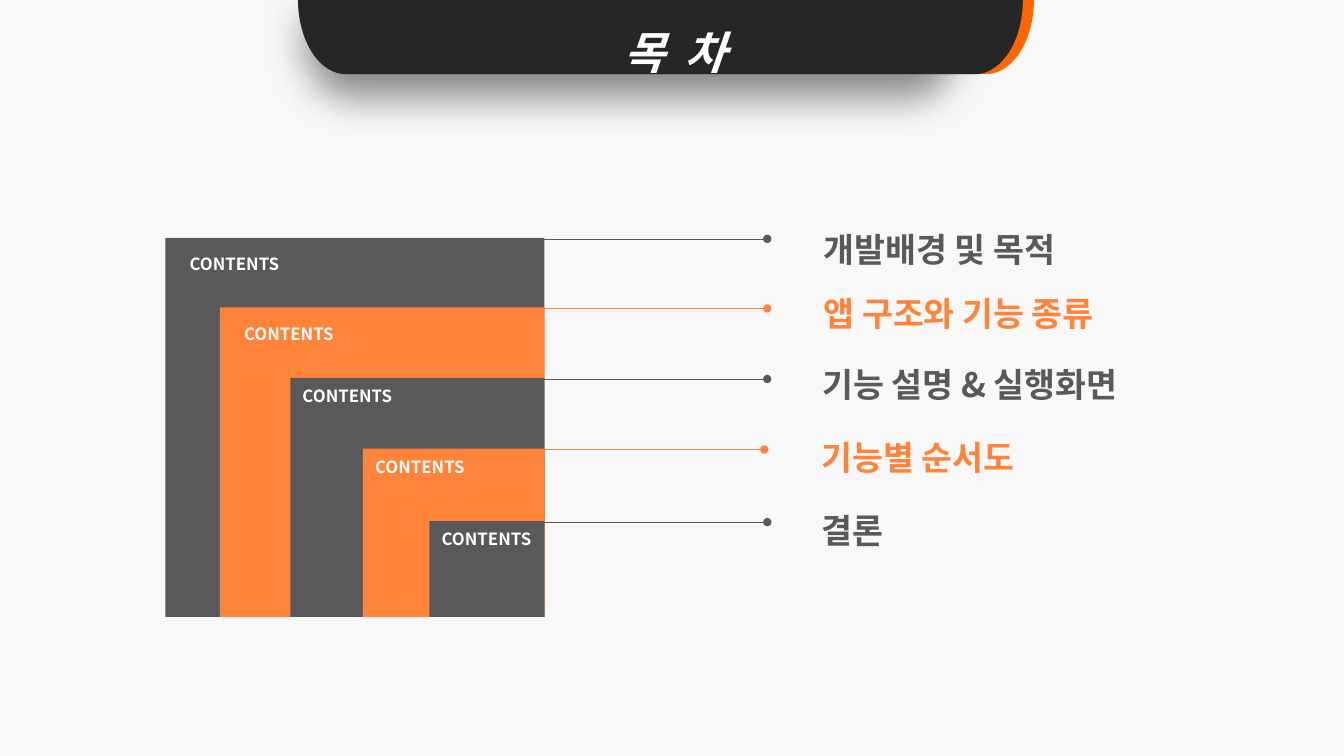
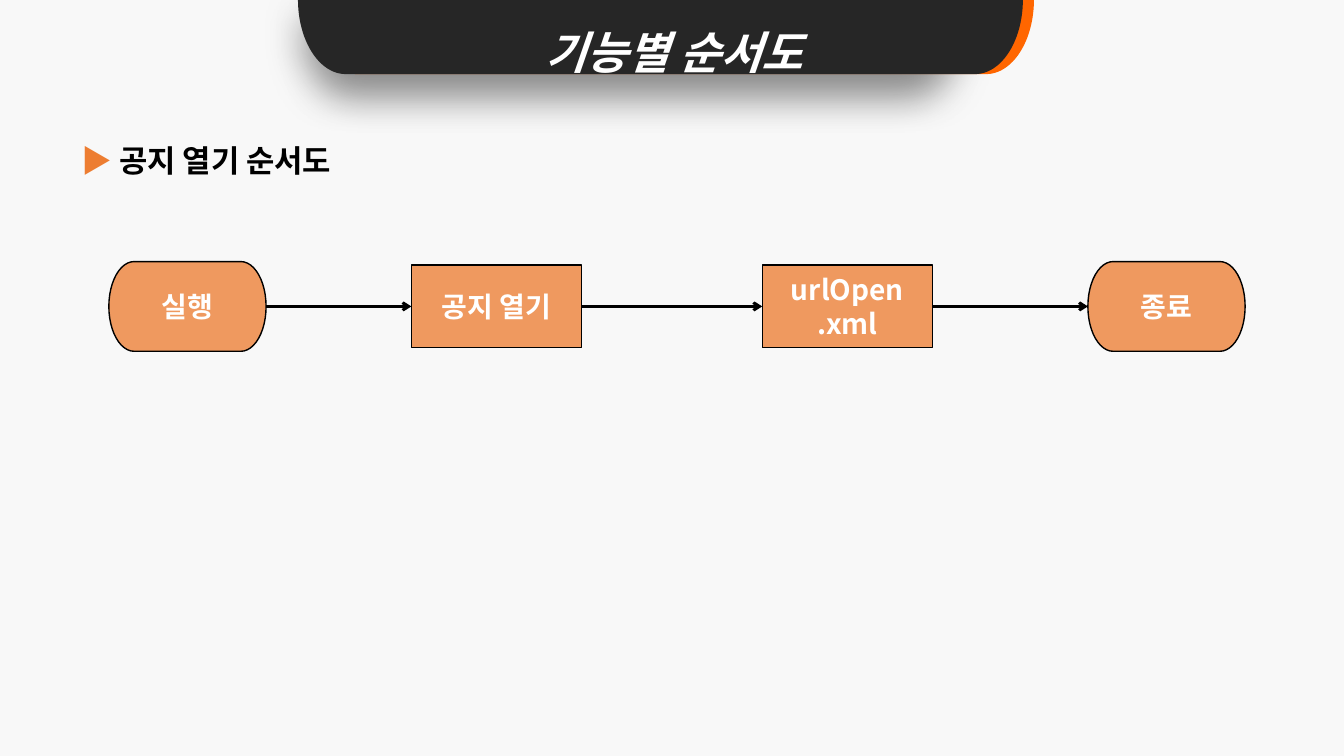
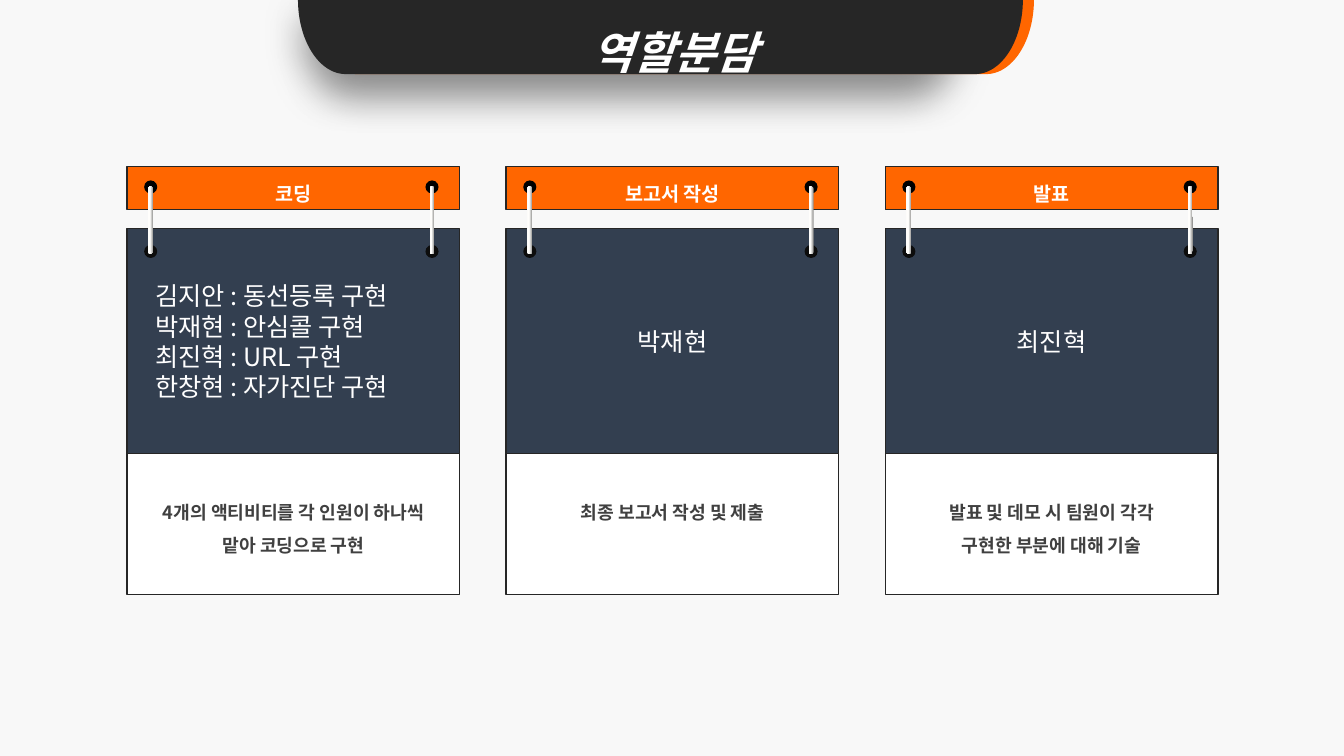
"""Build a contents page, a flowchart and a role sheet under one shared banner."""
from dataclasses import dataclass

from lxml import etree
from pptx import Presentation
from pptx import util as u
from pptx.dml.color import RGBColor
from pptx.enum import shapes, text
from pptx.oxml import ns

Shape = shapes.MSO_SHAPE
Align = text.PP_ALIGN
Anchor = text.MSO_ANCHOR


@dataclass(frozen=True)
class Theme:
    font: str = "Noto Sans CJK KR"
    paper: str = "F8F8F8"
    white: str = "FFFFFF"
    black: str = "000000"
    ink: str = "262626"
    vivid: str = "FF6600"
    gray: str = "595959"
    soft: str = "FF843A"
    flow: str = "ED7D31"
    navy: str = "333F50"
    note: str = "404040"
    hole: str = "0D0D0D"
    ring_dark: str = "979795"
    ring_light: str = "FFFEFC"
    title_size: int = 32
    topic_size: int = 24
    heading_size: int = 22
    step_size: int = 20
    member_size: int = 18
    header_size: int = 14
    note_size: int = 13
    label_size: int = 12


THEME = Theme()


@dataclass(frozen=True)
class Box:
    left: float
    top: float
    width: float
    height: float

    def lengths(self) -> list:
        return [u.Inches(v) for v in (self.left, self.top, self.width, self.height)]


@dataclass(frozen=True)
class TextStyle:
    size: int
    color: str
    bold: bool = True
    italic: bool = False
    align: Align = Align.CENTER
    spacing: float = 1.0
    anchor: Anchor = Anchor.TOP
    insets: tuple = (0.1, 0.05, 0.1, 0.05)


@dataclass(frozen=True)
class Topic:
    name: str
    color: str
    left: float
    top: float
    insets: tuple
    line_end: float
    text_left: float
    text_top: float


@dataclass(frozen=True)
class Step:
    label: str
    kind: Shape
    left: float
    width: float
    height: float


@dataclass(frozen=True)
class Role:
    header: str
    members: str
    note: str
    align: Align = Align.CENTER
    indent: float = 0.1


WIDE_INSETS = (0.24, 0.16, 0.1, 0.05)
TIGHT_INSETS = (0.12, 0.08, 0.1, 0.05)
STAIR_RIGHT, STAIR_BOTTOM = 5.4, 6.12
FLOW_CENTER = 3.04
CARD_LEFT, CARD_PITCH, CARD_WIDTH = 1.26, 3.76, 3.3

TOPICS = (
    Topic("개발배경 및 목적", THEME.gray, 1.64, 2.36, WIDE_INSETS, 7.61, 8.07, 2.02),
    Topic("앱 구조와 기능 종류", THEME.soft, 2.18, 3.05, WIDE_INSETS, 7.61, 8.07, 2.66),
    Topic("기능 설명 & 실행화면", THEME.gray, 2.88, 3.75, TIGHT_INSETS, 7.61, 8.06, 3.36),
    Topic("기능별 순서도", THEME.soft, 3.6, 4.45, TIGHT_INSETS, 7.58, 8.05, 4.09),
    Topic("결론", THEME.gray, 4.26, 5.17, TIGHT_INSETS, 7.61, 8.05, 4.81),
)
STEPS = (
    Step("실행", Shape.FLOWCHART_TERMINATOR, 1.08, 1.56, 0.89),
    Step("공지 열기", Shape.FLOWCHART_PROCESS, 4.08, 1.69, 0.82),
    Step("urlOpen\n.xml", Shape.FLOWCHART_PROCESS, 7.56, 1.69, 0.82),
    Step("종료", Shape.FLOWCHART_TERMINATOR, 10.79, 1.56, 0.89),
)
ROLES = (
    Role("코딩", "김지안 : 동선등록 구현\n박재현 : 안심콜 구현\n최진혁 : URL 구현\n한창현 : 자가진단 구현",
         "4개의 액티비티를 각 인원이 하나씩\n맡아 코딩으로 구현", Align.LEFT, 0.28),
    Role("보고서 작성", "박재현", "최종 보고서 작성 및 제출"),
    Role("발표", "최진혁", "발표 및 데모 시 팀원이 각각\n구현한 부분에 대해 기술"),
)


def rgb(color: str) -> RGBColor:
    return RGBColor.from_string(color)


def add_xml(parent, tag: str, **attributes: str):
    return etree.SubElement(parent, ns.qn(tag), attributes)


def style_run(run, style: TextStyle, color: str) -> None:
    font = run.font
    font.size, font.bold, font.italic = u.Pt(style.size), style.bold, style.italic
    font.name = THEME.font
    font.color.rgb = rgb(color)
    add_xml(run.font._element, "a:ea", typeface=THEME.font)


def write(shape, words: str, style: TextStyle, wrap: bool = True) -> None:
    frame = shape.text_frame
    frame.text = words
    frame.word_wrap = wrap
    frame.vertical_anchor = style.anchor
    (frame.margin_left, frame.margin_top,
     frame.margin_right, frame.margin_bottom) = map(u.Inches, style.insets)
    for paragraph in frame.paragraphs:
        paragraph.alignment = style.align
        paragraph.line_spacing = style.spacing
        for run in paragraph.runs:
            style_run(run, style, style.color)


def add_text(slide, box: Box, words: str, style: TextStyle, wrap: bool = True):
    label = slide.shapes.add_textbox(*box.lengths())
    write(label, words, style, wrap)
    return label


def add_block(slide, kind: Shape, box: Box, fill: str | None,
              outline: str | None = None):
    block = slide.shapes.add_shape(kind, *box.lengths())
    block.shadow.inherit = False
    if fill:
        block.fill.solid()
        block.fill.fore_color.rgb = rgb(fill)
    if outline:
        block.line.color.rgb = rgb(outline)
        block.line.width = u.Pt(1)
    else:
        block.line.fill.background()
    return block


def add_line(slide, start: tuple, end: tuple, color: str, width: float, tail: str):
    points = [u.Inches(v) for v in (*start, *end)]
    line = slide.shapes.add_connector(shapes.MSO_CONNECTOR.STRAIGHT, *points)
    line.line.color.rgb = rgb(color)
    line.line.width = u.Pt(width)
    add_xml(line.line._get_or_add_ln(), "a:tailEnd", type=tail)
    add_xml(line._element.spPr, "a:effectLst")
    return line


def add_banner(slide, title: str) -> None:
    for left, color in ((6.29, THEME.vivid), (6.18, THEME.ink)):
        band = add_block(slide, Shape.LEFT_BRACKET, Box(left, -3.23, 0.74, 7.19), color)
        band.rotation = 270
        band.adjustments[0] = 0.64
        effects = band._element.spPr.find(ns.qn("a:effectLst"))
        shadow = add_xml(effects, "a:outerShdw", blurRad=str(u.Pt(29)),
                         dist=str(u.Pt(15)), dir="5400000", sx="90000",
                         algn="tl", rotWithShape="0")
        add_xml(add_xml(shadow, "a:srgbClr", val=THEME.black), "a:alpha", val="25000")
    style = TextStyle(THEME.title_size, THEME.white, italic=True, spacing=1.5)
    add_text(slide, Box(5.16, -0.07, 3.06, 0.91), title, style, wrap=False)


def new_slide(deck, title: str):
    slide = deck.slides.add_slide(deck.slide_layouts[6])
    slide.background.fill.solid()
    slide.background.fill.fore_color.rgb = rgb(THEME.paper)
    add_banner(slide, title)
    return slide


def draw_topic(slide, topic: Topic) -> None:
    area = Box(topic.left, topic.top, STAIR_RIGHT - topic.left, STAIR_BOTTOM - topic.top)
    stair = add_block(slide, Shape.RECTANGLE, area, topic.color)
    write(stair, "CONTENTS", TextStyle(THEME.label_size, THEME.white,
                                       align=Align.LEFT, insets=topic.insets))
    level = topic.top + 0.01
    add_line(slide, (STAIR_RIGHT, level), (topic.line_end, level), topic.color, 0.5, "oval")
    add_text(slide, Box(topic.text_left, topic.text_top, 4.6, 0.7), topic.name,
             TextStyle(THEME.topic_size, topic.color, align=Align.LEFT, spacing=1.5))


def draw_step(slide, step: Step):
    area = Box(step.left, FLOW_CENTER - step.height / 2, step.width, step.height)
    block = add_block(slide, step.kind, area, THEME.flow, THEME.black)
    tint = block._element.spPr.find(ns.qn("a:solidFill"))[0]
    add_xml(tint, "a:alpha", val="77000")
    write(block, step.label, TextStyle(THEME.step_size, THEME.white, anchor=Anchor.MIDDLE))
    return block


def draw_ring(slide, left: float) -> None:
    for top, color in ((2.43, THEME.hole), (1.79, THEME.black)):
        add_block(slide, Shape.OVAL, Box(left, top, 0.13, 0.13), color)
    wire = add_block(slide, Shape.ROUNDED_RECTANGLE, Box(left + 0.04, 1.85, 0.05, 0.67), None)
    wire.adjustments[0] = 0.5
    wire.fill.gradient()
    wire.fill.gradient_angle = 180
    shades = ((0.04, THEME.ring_dark), (0.61, THEME.ring_light))
    for stop, (position, color) in zip(wire.fill.gradient_stops, shades):
        stop.position = position
        stop.color.rgb = rgb(color)


def draw_role(slide, role: Role, left: float) -> None:
    body = add_block(slide, Shape.RECTANGLE, Box(left, 2.27, CARD_WIDTH, 2.23),
                     THEME.navy, THEME.ink)
    write(body, role.members, TextStyle(
        THEME.member_size, THEME.white, bold=False, align=role.align,
        anchor=Anchor.MIDDLE, insets=(role.indent, 0.05, 0.1, 0.05)))
    note = add_block(slide, Shape.RECTANGLE, Box(left, 4.5, CARD_WIDTH, 1.4),
                     THEME.white, THEME.ink)
    write(note, role.note, TextStyle(THEME.note_size, THEME.note, spacing=1.5,
                                     insets=(0.2, 0.37, 0.2, 0.05)))
    header = add_block(slide, Shape.RECTANGLE, Box(left, 1.65, CARD_WIDTH, 0.43),
                       THEME.vivid, THEME.ink)
    write(header, role.header, TextStyle(THEME.header_size, THEME.white, spacing=1.5,
                                         anchor=Anchor.MIDDLE))
    for offset in (2.96, 0.17):
        draw_ring(slide, left + offset)


def build_contents(deck) -> None:
    slide = new_slide(deck, "목  차")
    for topic in TOPICS:
        draw_topic(slide, topic)


def build_flow(deck) -> None:
    slide = new_slide(deck, "기능별 순서도")
    style = TextStyle(THEME.heading_size, THEME.black, align=Align.LEFT, spacing=0.9)
    heading = add_text(slide, Box(0.71, 1.4, 6.95, 1.17), "▶ ", style)
    topic = heading.text_frame.paragraphs[0].add_run()
    topic.text = "공지 열기 순서도"
    style_run(topic, style, THEME.black)
    heading.text_frame.paragraphs[0].runs[0].font.color.rgb = rgb(THEME.flow)
    blocks = [draw_step(slide, step) for step in STEPS]
    for source, target in zip(blocks, blocks[1:]):
        arrow = add_line(slide, (0, FLOW_CENTER), (1, FLOW_CENTER), THEME.black, 2, "arrow")
        arrow.begin_connect(source, 3)
        arrow.end_connect(target, 1)


def build_roles(deck) -> None:
    slide = new_slide(deck, "역할분담")
    for index, role in enumerate(ROLES):
        draw_role(slide, role, CARD_LEFT + index * CARD_PITCH)


def main() -> None:
    deck = Presentation()
    deck.slide_width, deck.slide_height = u.Inches(13.33), u.Inches(7.5)
    build_contents(deck)
    build_flow(deck)
    build_roles(deck)
    deck.save("out.pptx")


if __name__ == "__main__":
    main()
